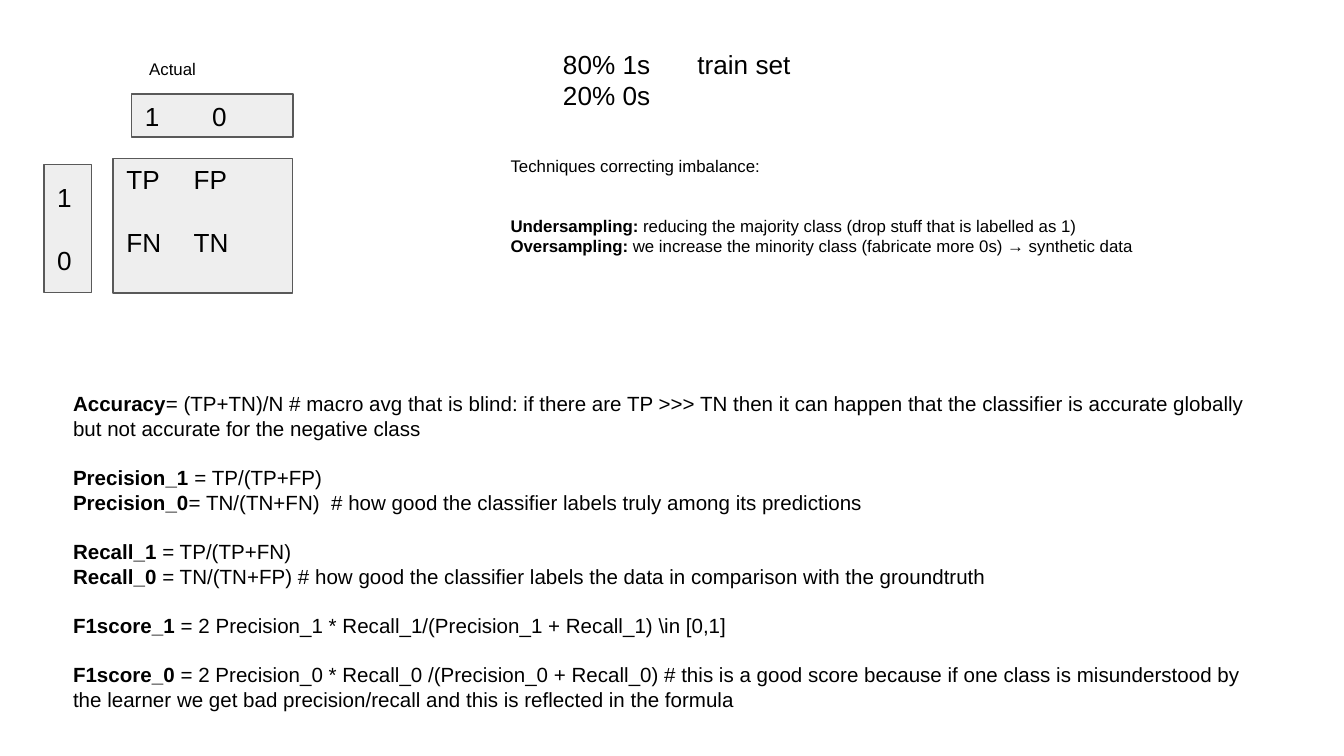
from lxml import etree
from pptx import Presentation
from pptx.dml.color import RGBColor
from pptx.enum.shapes import MSO_SHAPE
from pptx.enum.text import MSO_ANCHOR, MSO_AUTO_SIZE, PP_ALIGN
from pptx.oxml.ns import qn
from pptx.util import Cm, Pt

RECTANGLE = MSO_SHAPE.RECTANGLE
TOP, MIDDLE = MSO_ANCHOR.TOP, MSO_ANCHOR.MIDDLE
NO_AUTOFIT = MSO_AUTO_SIZE.NONE
LEFT = PP_ALIGN.LEFT
FONT = "Arial"
LINE_FACTOR = 1.2
INSET = 0.25

METRICS = [
    [("Accuracy", "= (TP+TN)/N # macro avg that is blind: if there are TP >>> TN then it can "
      "happen that the classifier is accurate globally but not accurate for the negative class")],
    [("Precision_1 ", "= TP/(TP+FP)"),
     ("Precision_0", "= TN/(TN+FN)  # how good the classifier labels truly among its predictions")],
    [("Recall_1 ", "= TP/(TP+FN)"),
     ("Recall_0 ", "= TN/(TN+FP) # how good the classifier labels the data in comparison "
      "with the groundtruth")],
    [("F1score_1 ", "= 2 Precision_1 * Recall_1/(Precision_1 + Recall_1) \\in [0,1]")],
    [("F1score_0", " = 2 Precision_0 * Recall_0 /(Precision_0 + Recall_0) # this is a good score "
      "because if one class is misunderstood by the learner we get bad precision/recall "
      "and this is reflected in the formula")],
]
TECHNIQUES = [
    [("", "Techniques correcting imbalance:")],
    [("Undersampling:", " reducing the majority class (drop stuff that is labelled as 1)"),
     ("Oversampling:", " we increase the minority class (fabricate more 0s) → synthetic data")],
]


def color(value):
    return RGBColor.from_string(value)


def plain(*lines):
    return [("", line) for line in lines]


def set_tab_and_bullet(paragraph, tab):
    properties = paragraph._p.get_or_add_pPr()
    properties.set("marL", "0")
    properties.set("indent", "0")
    etree.SubElement(properties, qn("a:buNone"))
    if tab:
        stops = etree.SubElement(properties, qn("a:tabLst"))
        etree.SubElement(stops, qn("a:tab"), pos=str(Cm(tab)), algn="l")


def write(shape, groups, size=14, gap_lines=1, tab=None, anchor=TOP, top=INSET, bottom=INSET):
    frame = shape.text_frame
    frame.word_wrap = True
    frame.auto_size = NO_AUTOFIT
    frame.vertical_anchor = anchor
    frame.margin_left = frame.margin_right = Cm(INSET)
    frame.margin_top, frame.margin_bottom = Cm(top), Cm(bottom)
    line_height = size * LINE_FACTOR
    lines = [(group, index, line) for group, entries in enumerate(groups)
             for index, line in enumerate(entries)]
    for number, (group, index, (term, explanation)) in enumerate(lines):
        paragraph = frame.add_paragraph() if number else frame.paragraphs[0]
        paragraph.alignment = LEFT
        paragraph.line_spacing = Pt(line_height)
        starts_group = group > 0 and index == 0
        paragraph.space_before = Pt(line_height * gap_lines if starts_group else 0)
        paragraph.space_after = Pt(0)
        set_tab_and_bullet(paragraph, tab)
        for text, bold in ((term, True), (explanation, False)):
            if text:
                run = paragraph.add_run()
                run.text = text
                run.font.name = FONT
                run.font.size = Pt(size)
                run.font.bold = bold
                run.font.color.rgb = color("000000")


def add_matrix_box(slide, area, groups, **text_format):
    box = slide.shapes.add_shape(RECTANGLE, *map(Cm, area))
    box.shadow.inherit = False
    box.fill.solid()
    box.fill.fore_color.rgb = color("EEEEEE")
    box.line.color.rgb = color("595959")
    box.line.width = Pt(0.75)
    write(box, groups, **text_format)


def add_label(slide, area, groups, **text_format):
    write(slide.shapes.add_textbox(*map(Cm, area)), groups, **text_format)


def fill_placeholder(placeholder, area, groups, **text_format):
    placeholder.left, placeholder.top, placeholder.width, placeholder.height = map(Cm, area)
    write(placeholder, groups, **text_format)


def main():
    deck = Presentation()
    deck.slide_width, deck.slide_height = Cm(25.4), Cm(14.29)
    slide = deck.slides.add_slide(deck.slide_layouts[1])
    class_balance, metrics = slide.placeholders

    add_matrix_box(slide, (2.14, 3, 3.39, 2.54),
                   [plain("TP\tFP"), plain("FN\tTN")], tab=1.73, top=0.09, bottom=0)
    add_matrix_box(slide, (2.49, 1.78, 3.05, 0.81),
                   [plain("1\t0")], tab=1.5, anchor=MIDDLE, top=0, bottom=0)
    add_matrix_box(slide, (0.83, 3.11, 0.9, 2.42),
                   [plain("1"), plain("0")], anchor=MIDDLE, top=0, bottom=0)
    add_label(slide, (2.57, 0.86, 3.05, 0.89), [plain("Actual")], size=9)
    add_label(slide, (9.4, 2.69, 13.16, 3.58), TECHNIQUES, size=9, gap_lines=2)
    fill_placeholder(class_balance, (10.39, 0.66, 6.73, 1.7),
                     [plain("80% 1s\ttrain set", "20% 0s")], tab=2.06)
    fill_placeholder(metrics, (1.13, 7.14, 23.14, 7), METRICS, size=11)
    deck.save("out.pptx")


main()
